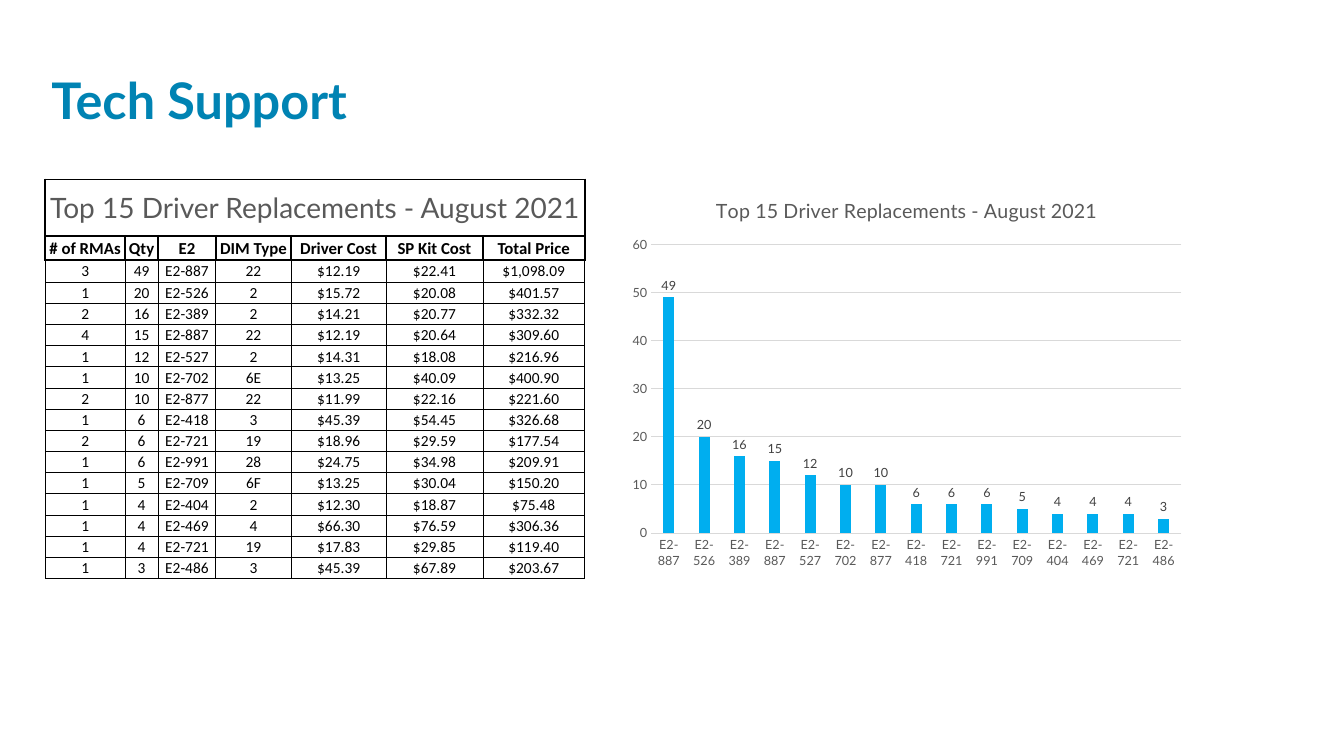
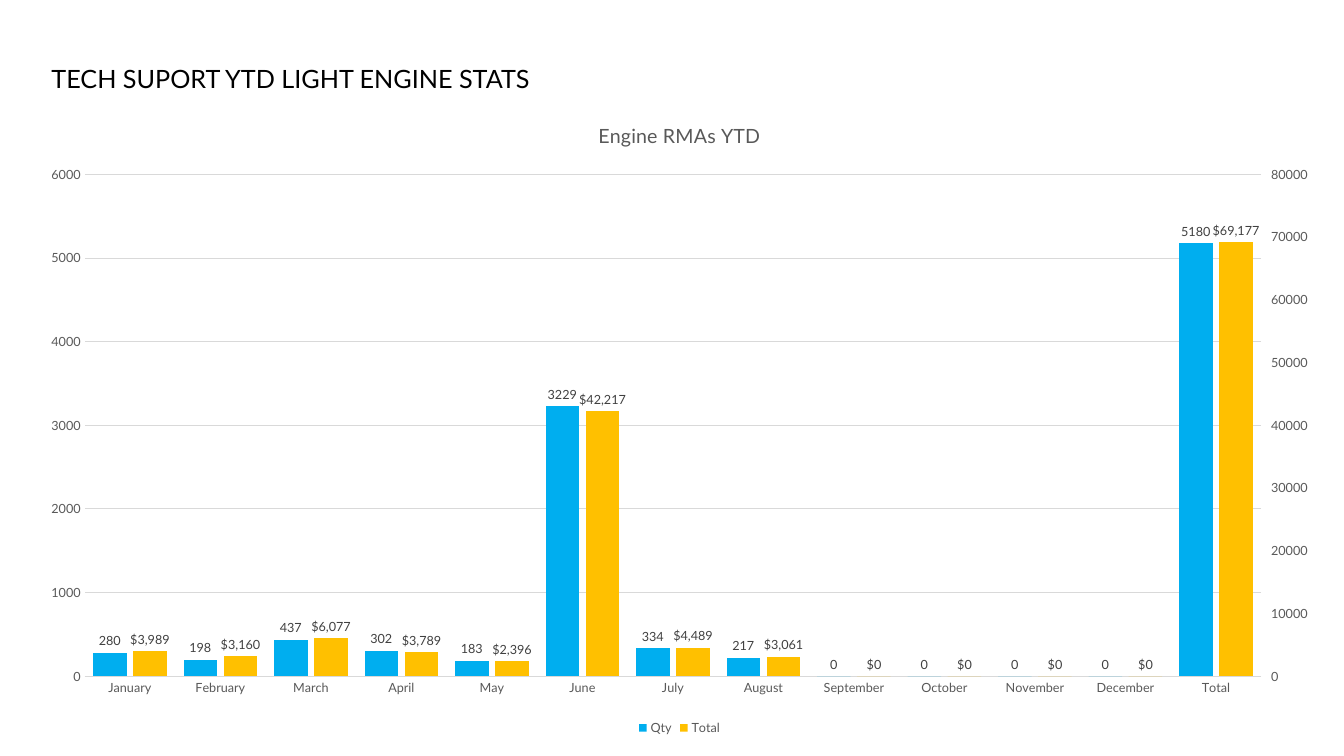
from copy import deepcopy
from dataclasses import dataclass
from typing import Optional, Sequence

from lxml.etree import SubElement
from pptx import Presentation
from pptx.chart.axis import CategoryAxis, ValueAxis
from pptx.chart.chart import Chart
from pptx.chart.data import CategoryChartData
from pptx.dml.color import RGBColor
from pptx.enum.chart import XL_CHART_TYPE as ChartType
from pptx.enum.chart import XL_LABEL_POSITION as LabelPos
from pptx.enum.chart import XL_LEGEND_POSITION as LegendPos
from pptx.enum.chart import XL_TICK_MARK as Tick
from pptx.enum.text import MSO_ANCHOR as Anchor
from pptx.enum.text import MSO_AUTO_SIZE as AutoSize
from pptx.enum.text import PP_ALIGN as Align
from pptx.oxml.ns import qn
from pptx.slide import Slide
from pptx.table import _Cell as Cell
from pptx.util import Inches, Pt


@dataclass(frozen=True)
class Theme:
    font: str = "Lato"
    table_font: str = "Calibri"
    black: str = "000000"
    heading: str = "0083B3"
    gray: str = "595959"
    label: str = "404040"
    grid: str = "D9D9D9"
    blue: str = "00AEEF"
    pink: str = "EA428A"
    yellow: str = "EED500"
    gold: str = "FFC000"
    heading_size: float = 36
    subheading_size: float = 18
    caption_size: float = 20
    header_size: float = 12
    body_size: float = 11
    chart_title_size: float = 14
    chart_size: float = 10
    axis_size: float = 9
    thin: float = 0.5
    thick: float = 1.5
    axis_line: float = 0.75


@dataclass(frozen=True)
class Box:
    left: float
    top: float
    width: float
    height: float

    def emu(self) -> tuple:
        return tuple(Inches(v) for v in (self.left, self.top, self.width, self.height))


@dataclass(frozen=True)
class Bars:
    name: str
    values: Sequence[Optional[int]]
    color: str
    labeled: bool = True
    number_format: str = "General"


@dataclass(frozen=True)
class Driver:
    rmas: str
    qty: str
    e2: str
    dim: str
    cost: str
    kit: str
    total: str

    def cells(self) -> tuple:
        return (self.rmas, self.qty, self.e2, self.dim, self.cost, self.kit, self.total)


T = Theme()
DRIVER_TITLE = "Top 15 Driver Replacements - August 2021"
HEADERS = ("# of RMAs", "Qty", "E2", "DIM Type", "Driver Cost", "SP Kit Cost", "Total Price")
COL_WIDTHS = (0.79, 0.33, 0.57, 0.75, 0.94, 0.96, 1.01)
DRIVERS = (
    Driver("3", "49", "E2-887", "22", "$12.19", "$22.41", "$1,098.09"),
    Driver("1", "20", "E2-526", "2", "$15.72", "$20.08", "$401.57"),
    Driver("2", "16", "E2-389", "2", "$14.21", "$20.77", "$332.32"),
    Driver("4", "15", "E2-887", "22", "$12.19", "$20.64", "$309.60"),
    Driver("1", "12", "E2-527", "2", "$14.31", "$18.08", "$216.96"),
    Driver("1", "10", "E2-702", "6E", "$13.25", "$40.09", "$400.90"),
    Driver("2", "10", "E2-877", "22", "$11.99", "$22.16", "$221.60"),
    Driver("1", "6", "E2-418", "3", "$45.39", "$54.45", "$326.68"),
    Driver("2", "6", "E2-721", "19", "$18.96", "$29.59", "$177.54"),
    Driver("1", "6", "E2-991", "28", "$24.75", "$34.98", "$209.91"),
    Driver("1", "5", "E2-709", "6F", "$13.25", "$30.04", "$150.20"),
    Driver("1", "4", "E2-404", "2", "$12.30", "$18.87", "$75.48"),
    Driver("1", "4", "E2-469", "4", "$66.30", "$76.59", "$306.36"),
    Driver("1", "4", "E2-721", "19", "$17.83", "$29.85", "$119.40"),
    Driver("1", "3", "E2-486", "3", "$45.39", "$67.89", "$203.67"),
)
PERIODS = ("January", "February", "March", "April", "May", "June", "July", "August",
           "September", "October", "November", "December", "Total")
QTY = (280, 198, 437, 302, 183, 3229, 334, 217, 0, 0, 0, 0, 5180)
COST = (3989, 3160, 6077, 3789, 2396, 42217, 4489, 3061, 0, 0, 0, 0, 69177)
EMPTY = (None,) * len(PERIODS)


def style_font(font, *, size: float, color: str, name: str = T.font, bold: bool = False) -> None:
    font.name = name
    font.size = Pt(size)
    font.bold = bold
    font.color.rgb = RGBColor.from_string(color)


def write(tf, text: str, *, align: Align = Align.LEFT, spacing: float = 1, **fmt) -> None:
    p = tf.paragraphs[0]
    p.alignment = align
    p.line_spacing = spacing
    r = p.add_run()
    r.text = text
    style_font(r.font, **fmt)


def add_title(s: Slide, text: str, box: Box, *, anchor: Anchor, **fmt) -> None:
    sp = s.shapes.title
    sp.left, sp.top, sp.width, sp.height = box.emu()
    tf = sp.text_frame
    tf.word_wrap = True
    tf.auto_size = AutoSize.NONE
    tf.vertical_anchor = anchor
    write(tf, text, **fmt)


def set_borders(cell: Cell, *, width: float, top: float) -> None:
    tc_pr = cell._tc.get_or_add_tcPr()
    for side, points in (("L", width), ("R", width), ("T", top), ("B", width)):
        ln = SubElement(tc_pr, qn(f"a:ln{side}"), w=str(Pt(points)))
        fill = SubElement(ln, qn("a:solidFill"))
        SubElement(fill, qn("a:srgbClr"), val=T.black)


def fill_cell(cell: Cell, text: str, *, width: float, top: float, **fmt) -> None:
    set_borders(cell, width=width, top=top)
    cell.fill.background()
    cell.vertical_anchor = Anchor.MIDDLE
    cell.margin_left = cell.margin_right = cell.margin_top = Inches(0.01)
    cell.margin_bottom = 0
    if text:
        write(cell.text_frame, text, align=Align.CENTER, **fmt)


def add_driver_table(s: Slide, box: Box) -> None:
    rows = [(DRIVER_TITLE,) + ("",) * (len(HEADERS) - 1), HEADERS]
    rows += [d.cells() for d in DRIVERS]
    table = s.shapes.add_table(len(rows), len(HEADERS), *box.emu()).table
    table.first_row = table.horz_banding = False
    for col, width in zip(table.columns, COL_WIDTHS):
        col.width = Inches(width)
    heights = [0.56, 0.24, 0.22] + [0.21] * (len(rows) - 3)
    formats = (
        dict(size=T.caption_size, color=T.gray),
        dict(size=T.header_size, color=T.black, name=T.table_font, bold=True),
        dict(size=T.body_size, color=T.black, name=T.table_font),
    )
    for i, texts in enumerate(rows):
        table.rows[i].height = Inches(heights[i])
        width = T.thick if i < 2 else T.thin
        top = T.thick if i < 3 else T.thin
        for j, text in enumerate(texts):
            fill_cell(table.cell(i, j), text, width=width, top=top, **formats[min(i, 2)])
    table.cell(0, 0).merge(table.cell(0, len(HEADERS) - 1))


def style_line(line, color: str) -> None:
    line.color.rgb = RGBColor.from_string(color)
    line.width = Pt(T.axis_line)


def style_axes(chart: Chart, maximum: int, step: int) -> None:
    for axis in (chart.category_axis, chart.value_axis):
        axis.major_tick_mark = axis.minor_tick_mark = Tick.NONE
        style_font(axis.tick_labels.font, size=T.axis_size, color=T.gray)
    style_line(chart.category_axis.format.line, T.grid)
    axis = chart.value_axis
    axis.format.line.fill.background()
    axis.has_major_gridlines = True
    style_line(axis.major_gridlines.format.line, T.grid)
    axis.minimum_scale, axis.maximum_scale, axis.major_unit = 0, maximum, step


def add_bar_chart(s: Slide, box: Box, title: str, cats: Sequence[str], bars: Sequence[Bars], *,
                  gap: int, overlap: int, maximum: int, step: int) -> Chart:
    data = CategoryChartData()
    data.categories = cats
    for b in bars:
        data.add_series(b.name, b.values)
    chart = s.shapes.add_chart(ChartType.COLUMN_CLUSTERED, *box.emu(), data).chart
    style_font(chart.font, size=T.chart_size, color=T.black)
    chart.has_legend = False
    chart.has_title = True
    write(chart.chart_title.text_frame, title, align=Align.CENTER,
          size=T.chart_title_size, color=T.gray)
    style_axes(chart, maximum, step)
    plot = chart.plots[0]
    plot.vary_by_categories = False
    plot.gap_width, plot.overlap = gap, overlap
    for series, b in zip(plot.series, bars):
        series.invert_if_negative = False
        series.format.fill.solid()
        series.format.fill.fore_color.rgb = RGBColor.from_string(b.color)
        if b.labeled:
            labels = series.data_labels
            labels.show_value = True
            labels.position = LabelPos.OUTSIDE_END
            labels.number_format = b.number_format
            labels.number_format_is_linked = False
            style_font(labels.font, size=T.axis_size, color=T.label)
    return chart


def move_to_right_axis(chart: Chart, first: int, maximum: int, step: int) -> None:
    left = chart.plots[0]._element
    cat, val = chart.category_axis._element, chart.value_axis._element
    right, right_cat, right_val = (deepcopy(e) for e in (left, cat, val))
    for i, (a, b) in enumerate(zip(left.findall(qn("c:ser")), right.findall(qn("c:ser")))):
        if i < first:
            right.remove(b)
        else:
            left.remove(a)
    left.addnext(right)
    val.addnext(right_val)
    right_val.addnext(right_cat)

    cat_id, val_id = "50010", "50020"
    for ax_id, value in zip(right.findall(qn("c:axId")), (cat_id, val_id)):
        ax_id.set("val", value)
    for axis, own, other in ((right_cat, cat_id, val_id), (right_val, val_id, cat_id)):
        axis.find(qn("c:axId")).set("val", own)
        axis.find(qn("c:crossAx")).set("val", other)
    right_val.find(qn("c:axPos")).set("val", "r")
    right_val.find(qn("c:crosses")).set("val", "max")
    CategoryAxis(right_cat).visible = False
    axis = ValueAxis(right_val)
    axis.has_major_gridlines = False
    axis.major_tick_mark = Tick.OUTSIDE
    axis.maximum_scale, axis.major_unit = maximum, step


def add_legend(chart: Chart, hidden: Sequence[int]) -> None:
    chart.has_legend = True
    legend = chart.legend
    legend.position = LegendPos.BOTTOM
    legend.include_in_layout = False
    style_font(legend.font, size=T.axis_size, color=T.gray)
    position = legend._element.find(qn("c:legendPos"))
    for index in reversed(hidden):
        entry = SubElement(legend._element, qn("c:legendEntry"))
        SubElement(entry, qn("c:idx"), val=str(index))
        SubElement(entry, qn("c:delete"), val="1")
        position.addnext(entry)


def build_drivers(s: Slide) -> None:
    add_title(s, "Tech Support", Box(0.41, 0.33, 9.5, 1), anchor=Anchor.BOTTOM, spacing=0.8,
              size=T.heading_size, color=T.heading, bold=True)
    add_driver_table(s, Box(0.45, 1.78, 5.36, 3.94))
    add_bar_chart(s, Box(6.16, 1.78, 5.67, 3.94), DRIVER_TITLE, [d.e2 for d in DRIVERS],
                  [Bars("Qty", [int(d.qty) for d in DRIVERS], T.blue)],
                  gap=219, overlap=-27, maximum=60, step=10)


def build_engines(s: Slide) -> None:
    add_title(s, "TECH SUPORT YTD LIGHT ENGINE STATS", Box(0.41, 0.58, 5.75, 0.4),
              anchor=Anchor.TOP, size=T.subheading_size, color=T.black)
    bars = (
        Bars("Qty", QTY, T.blue),
        Bars("Series 2", EMPTY, T.pink, labeled=False),
        Bars("Series 3", EMPTY, T.yellow, labeled=False),
        Bars("Total", COST, T.gold, number_format='"$"#,##0'),
    )
    chart = add_bar_chart(s, Box(0.25, 0.99, 12.98, 6.35), "Engine RMAs YTD", PERIODS, bars,
                          gap=50, overlap=-20, maximum=6000, step=1000)
    move_to_right_axis(chart, 2, 80000, 10000)
    add_legend(chart, (1, 2))


def main() -> None:
    prs = Presentation()
    prs.slide_width, prs.slide_height = Inches(13.33), Inches(7.5)
    title_only = prs.slide_layouts[5]
    for build in (build_drivers, build_engines):
        build(prs.slides.add_slide(title_only))
    prs.save("out.pptx")


if __name__ == "__main__":
    main()
